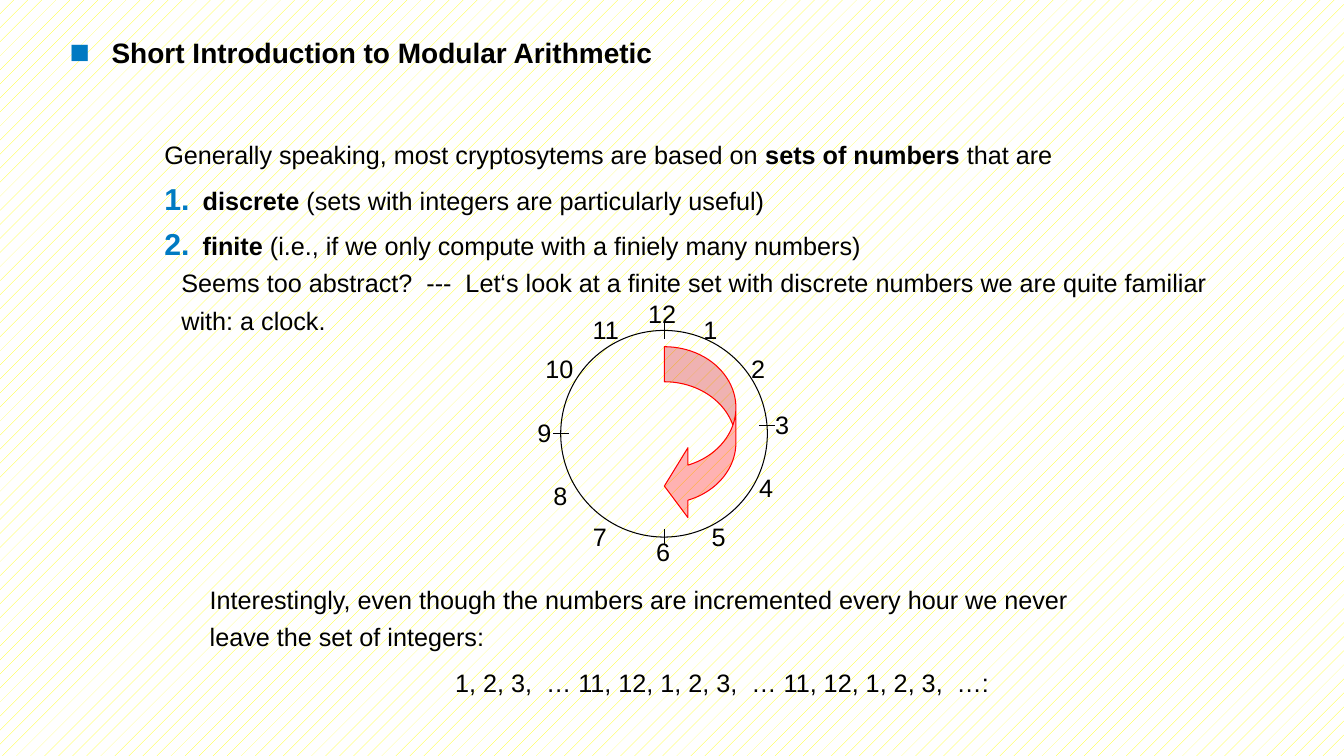
from lxml import etree
from pptx import Presentation
from pptx.dml.color import RGBColor
from pptx.enum.dml import MSO_PATTERN
from pptx.enum.shapes import MSO_CONNECTOR, MSO_SHAPE
from pptx.enum.text import MSO_ANCHOR, MSO_AUTO_SIZE, PP_ALIGN
from pptx.oxml.ns import qn
from pptx.util import Pt

STRAIGHT = MSO_CONNECTOR.STRAIGHT
OVAL, CURVED_ARROW = MSO_SHAPE.OVAL, MSO_SHAPE.CURVED_DOWN_ARROW
LEFT, CENTER = PP_ALIGN.LEFT, PP_ALIGN.CENTER
TOP, NO_FIT = MSO_ANCHOR.TOP, MSO_AUTO_SIZE.NONE
DOTS = MSO_PATTERN.PERCENT_5

COLORS = {"text": "000000", "bullet": "007AC2", "arrow": "FF0000",
          "dots": "FFFF00", "paper": "FFFFFF"}
FONT = "Arial"
PROSE = {"line_spacing": 1.25, "space_before": Pt(5.5), "alignment": LEFT}
HEADING = {"line_spacing": 1.0, "space_before": Pt(4), "alignment": LEFT}
CENTERED = {**PROSE, "alignment": CENTER}

# hour: left and top of its label
HOURS = {12: (463, 213), 1: (502.5, 224.5), 2: (536.5, 252.7),
         3: (553.7, 292.3), 4: (542.2, 337.7), 5: (508.3, 372.2),
         6: (468.7, 383), 7: (423.4, 372.2), 8: (395.3, 343.4),
         9: (383.8, 298), 10: (389.5, 252.7), 11: (423.4, 224.6)}
TICKS = [(474.5, 230.4, 474.5, 242), (474.5, 378, 474.5, 389),
         (542.2, 303.8, 553.7, 303.8), (395.3, 309.6, 406.5, 309.6)]


def rgb(name):
    return RGBColor.from_string(COLORS[name])


def place(sp, left, top, width, height):
    sp.left, sp.top, sp.width, sp.height = map(Pt, (left, top, width, height))


def setup_frame(sp, wrap=True):
    tf = sp.text_frame
    frame = {"margin_left": 0, "margin_top": 0, "margin_right": 0,
             "margin_bottom": 0, "word_wrap": wrap, "auto_size": NO_FIT,
             "vertical_anchor": TOP}
    for name, value in frame.items():
        setattr(tf, name, value)
    return tf


def write(p, runs, size=18, form=PROSE, margin=0, indent=0):
    """Fill a paragraph with (text, bold) runs and lay it out."""
    for name, value in form.items():
        setattr(p, name, value)
    for text, bold in runs:
        r = p.add_run()
        r.text = text
        font = {"name": FONT, "size": Pt(size), "bold": bold}
        for name, value in font.items():
            setattr(r.font, name, value)
        r.font.color.rgb = rgb("text")
    pPr = p._p.get_or_add_pPr()
    pPr.set("marL", str(Pt(margin)))
    pPr.set("indent", str(Pt(indent)))


def set_bullet(p, tag, **attrs):
    """Add a large blue bullet, or none when tag is a:buNone."""
    pPr = p._p.get_or_add_pPr()
    if tag != "a:buNone":
        color = etree.SubElement(pPr, qn("a:buClr"))
        etree.SubElement(color, qn("a:srgbClr"), val=COLORS["bullet"])
        etree.SubElement(pPr, qn("a:buSzPct"), val="120000")
        etree.SubElement(pPr, qn("a:buFont"), typeface=FONT)
    etree.SubElement(pPr, qn(tag), **attrs)


def add_text(slide, box, text, wrap=True, form=PROSE):
    sp = slide.shapes.add_textbox(*map(Pt, box))
    tf = setup_frame(sp, wrap)
    write(tf.paragraphs[0], [(text, False)], form=form)
    return tf


def add_outlined(slide, kind, box, color):
    sp = slide.shapes.add_shape(kind, *map(Pt, box))
    sp.shadow.inherit = False
    sp.fill.background()
    sp.line.color.rgb = rgb(color)
    sp.line.width = Pt(0.75)
    return sp


def add_tick(slide, ends):
    line = slide.shapes.add_connector(STRAIGHT, *map(Pt, ends))
    line.line.color.rgb = rgb("text")
    line.line.width = Pt(0.75)
    etree.SubElement(line._element.spPr, qn("a:effectLst"))


def add_clock(slide):
    add_outlined(slide, OVAL, (400.5, 236, 147.6, 147.6), "text")
    for hour, (left, top) in HOURS.items():
        label = str(hour)
        add_text(slide, (left, top, 10 * len(label), 21.6), label,
                 wrap=False, form={"alignment": LEFT})
    for ends in TICKS:
        add_tick(slide, ends)
    arrow = add_outlined(slide, CURVED_ARROW, (437.8, 284.4, 124.6, 51.1),
                         "arrow")
    arrow.rotation = 90
    for i, value in enumerate((0.49, 0.98, 0.33)):
        arrow.adjustments[i] = value
    arrow.fill.solid()
    arrow.fill.fore_color.rgb = rgb("arrow")
    solid = arrow._element.spPr.find(qn("a:solidFill"))
    etree.SubElement(solid[0], qn("a:alpha"), val="30000")


def fill_title(sp, text):
    place(sp, 49.7, 25.2, 866.9, 40.3)
    p = setup_frame(sp).paragraphs[0]
    write(p, [(text, True)], 20, HEADING, 30, -30)
    set_bullet(p, "a:buChar", char="■")


def fill_list(sp, intro, items):
    place(sp, 117.4, 94.3, 712.8, 122.4)
    tf = setup_frame(sp)
    write(tf.paragraphs[0], intro, margin=27.4, indent=-27.4)
    set_bullet(tf.paragraphs[0], "a:buNone")
    for term, remark in items:
        p = tf.add_paragraph()
        write(p, [(term, True), (remark, False)], margin=27.4, indent=-27.4)
        set_bullet(p, "a:buAutoNum", type="arabicPeriod")


def main():
    prs = Presentation()
    prs.slide_width, prs.slide_height = Pt(960), Pt(540)
    slide = prs.slides.add_slide(prs.slide_layouts[1])
    fill = slide.background.fill
    fill.patterned()
    fill.pattern = DOTS
    fill.fore_color.rgb = rgb("dots")
    fill.back_color.rgb = rgb("paper")

    title, body = slide.placeholders
    fill_title(title, "Short Introduction to Modular Arithmetic")
    add_clock(slide)
    fill_list(body,
              [("Generally speaking, most cryptosytems are based on ", False),
               ("sets of numbers", True), (" that are", False)],
              [("discrete", " (sets with integers are particularly useful)"),
               ("finite", " (i.e., if we only compute with a finiely many "
                          "numbers)")])
    add_text(slide, (129.6, 185.8, 752.4, 84.2),
             "Seems too abstract?  ---  Let‘s look at a finite set with "
             "discrete numbers we are quite familiar with: a clock.")
    tf = add_text(slide, (149.8, 411.8, 660.2, 117.4),
                  "Interestingly, even though the numbers are incremented "
                  "every hour we never leave the set of integers:")
    write(tf.add_paragraph(),
          [("1, 2, 3,  … 11, 12, 1, 2, 3,  … 11, 12, 1, 2, 3,  …:", False)],
          form=CENTERED, margin=72)
    prs.save("out.pptx")


if __name__ == "__main__":
    main()
